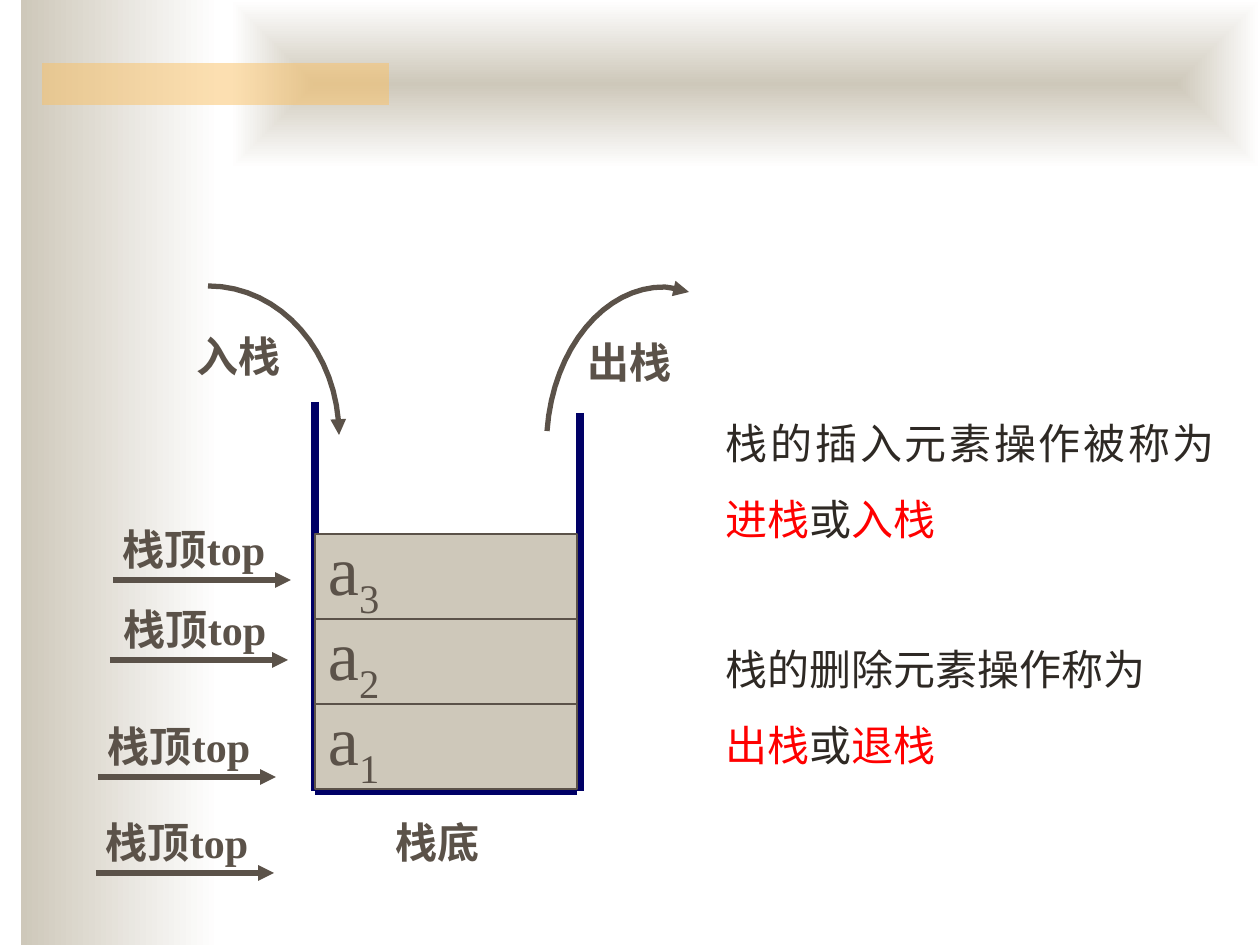
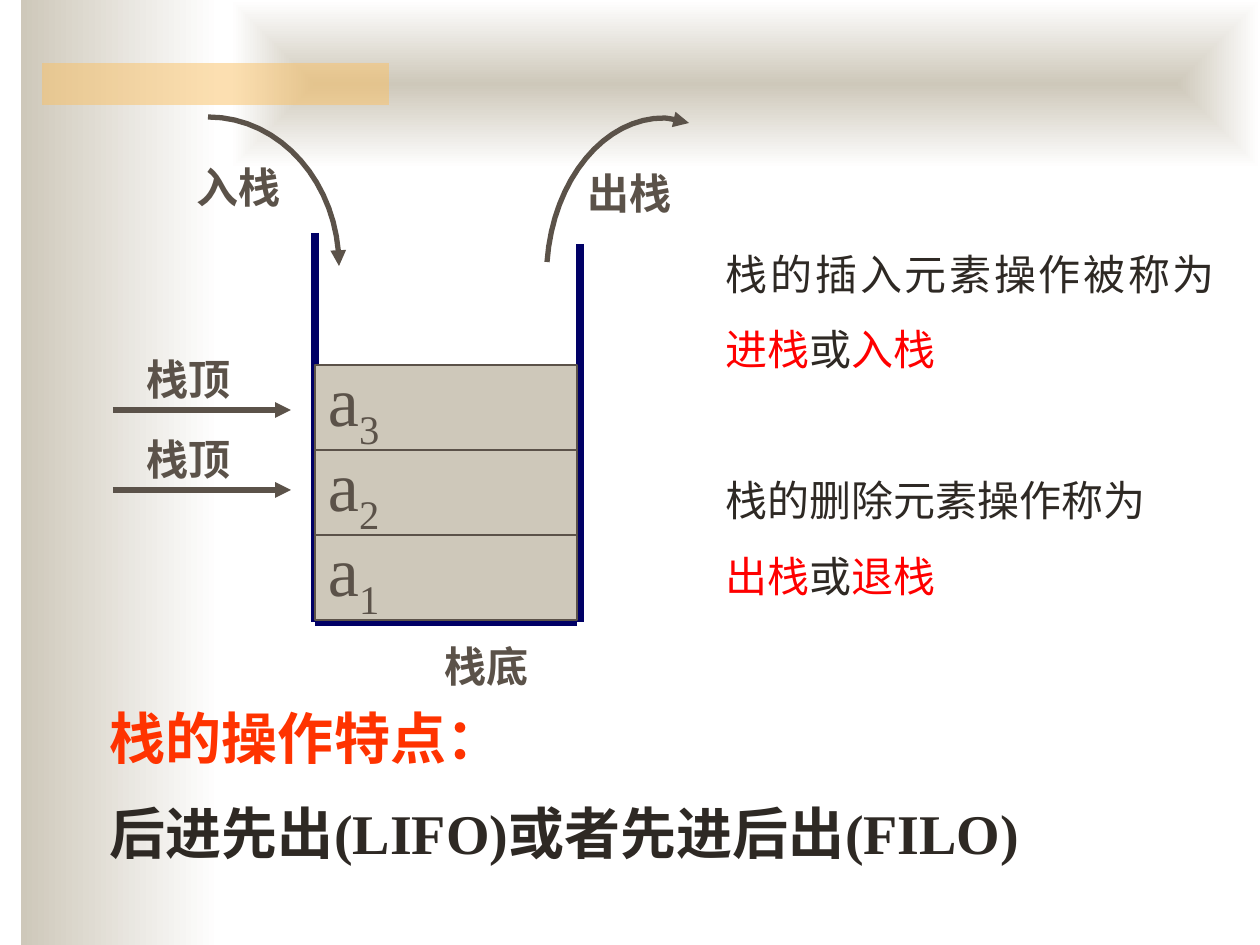
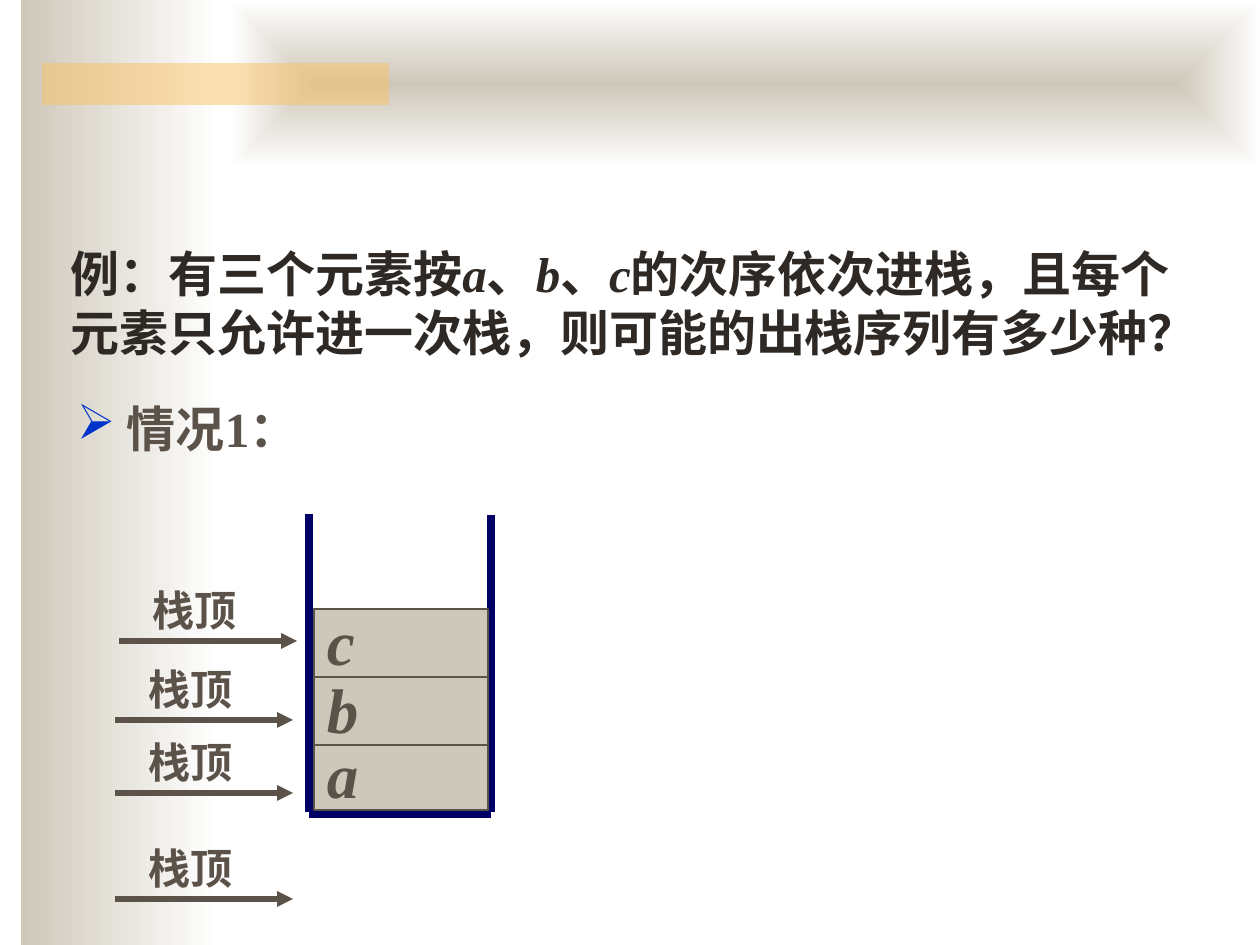
"""Three slides on stack operations: push and pop, last in first out, and an ordering exercise."""
from dataclasses import dataclass
from typing import NamedTuple

from lxml.etree import SubElement
from pptx import Presentation
from pptx.dml.color import RGBColor
from pptx.enum.shapes import MSO_CONNECTOR as Connector, MSO_SHAPE as Preset
from pptx.enum.text import MSO_ANCHOR as Anchor, MSO_AUTO_SIZE as AutoSize, PP_ALIGN as Align
from pptx.oxml.ns import qn
from pptx.shapes.autoshape import Shape
from pptx.slide import Slide
from pptx.util import Emu, Pt

EMU_PER_PIXEL = 914400 / 126


@dataclass(frozen=True)
class Theme:
    stone: str = "CEC8BA"
    white: str = "FFFFFF"
    amber: str = "FAC164"
    navy: str = "000066"
    brown: str = "5B5249"
    ink: str = "2E2924"
    red: str = "FF0000"
    orange: str = "FF3300"
    blue: str = "0033CC"
    latin: str = "Times New Roman"
    chinese: str = "Noto Sans CJK SC"
    label: int = 24
    question: int = 28
    feature: int = 32
    italic_item: int = 36
    indexed_item: int = 40
    wall: float = 4.5
    arrow: float = 3
    outline: float = 0.75


THEME = Theme()


class Box(NamedTuple):
    left: int
    top: int
    width: int
    height: int


class Point(NamedTuple):
    x: int
    y: int


class Span(NamedTuple):
    text: str
    color: str = THEME.brown
    italic: bool = False
    subscript: bool = False


class Style(NamedTuple):
    size: int = THEME.label
    bold: bool = True
    font: str = THEME.latin


@dataclass(frozen=True)
class Pointer:
    x: int
    y: int
    text: str = "栈顶"
    label_shift: int = 21
    label_width: int = 126


@dataclass(frozen=True)
class Stack:
    left: int
    left_top: int
    right: int
    right_top: int
    wall_bottom: int
    floor: int
    floor_right: int
    cell_left: int
    cell_width: int
    cell_height: int
    cell_tops: tuple[int, ...]
    items: tuple[tuple[Span, ...], ...]
    style: Style


def emu(pixels: float) -> Emu:
    return Emu(round(pixels * EMU_PER_PIXEL))


def rgb(color: str) -> RGBColor:
    return RGBColor.from_string(color)


def add_runs(paragraph, spans: tuple[Span, ...], style: Style) -> None:
    for span in spans:
        run = paragraph.add_run()
        run.text = span.text
        font = run.font
        font.size, font.bold, font.italic = Pt(style.size), style.bold, span.italic
        font.name = style.font
        font.color.rgb = rgb(span.color)
        properties = run._r.get_or_add_rPr()
        SubElement(properties, qn("a:ea")).set("typeface", THEME.chinese)
        if span.subscript:
            properties.set("baseline", "-25000")


def space_half_line(paragraph) -> None:
    paragraph.space_before = Pt(0)
    spacing = paragraph._p.pPr.find(qn("a:spcBef"))
    spacing.remove(spacing[0])
    SubElement(spacing, qn("a:spcPct")).set("val", "50000")


def add_text(slide: Slide, box: Box, lines: list[tuple[Span, ...]], style: Style = Style(),
             side_inset: int = 13) -> list:
    frame = slide.shapes.add_textbox(*map(emu, box)).text_frame
    frame.word_wrap, frame.auto_size = True, AutoSize.SHAPE_TO_FIT_TEXT
    frame.margin_left = frame.margin_right = emu(side_inset)
    paragraphs = [frame.paragraphs[0]] + [frame.add_paragraph() for _ in lines[1:]]
    for paragraph, spans in zip(paragraphs, lines):
        space_half_line(paragraph)
        add_runs(paragraph, spans, style)
    return paragraphs


def add_label(slide: Slide, text: str, left: int, top: int, width: int) -> None:
    add_text(slide, Box(left, top, width, 63), [(Span(text),)])


def add_arrowhead(shape) -> None:
    SubElement(shape.line._get_or_add_ln(), qn("a:tailEnd")).set("type", "triangle")


def add_line(slide: Slide, start: Point, end: Point, color: str, weight: float):
    line = slide.shapes.add_connector(Connector.STRAIGHT, *map(emu, (*start, *end)))
    line.line.color.rgb, line.line.width = rgb(color), Pt(weight)
    SubElement(line._element.spPr, qn("a:effectLst"))
    return line


def add_rectangle(slide: Slide, box: Box) -> Shape:
    rectangle = slide.shapes.add_shape(Preset.RECTANGLE, *map(emu, box))
    rectangle.shadow.inherit = False
    rectangle.line.fill.background()
    return rectangle


def add_gradient(slide: Slide, box: Box) -> Shape:
    panel = add_rectangle(slide, box)
    panel.fill.gradient()
    panel.fill.gradient_angle = 0
    for stop, color, position in zip(panel.fill.gradient_stops, (THEME.stone, THEME.white), (0, 1)):
        stop.color.rgb, stop.position = rgb(color), position
    return panel


def add_background(slide: Slide) -> None:
    add_gradient(slide, Box(21, 0, 199, 945))
    header = add_gradient(slide, Box(231, 0, 1029, 168))
    gradient = header._element.spPr.find(qn("a:gradFill"))
    gradient.remove(gradient.find(qn("a:lin")))
    radial = SubElement(gradient, qn("a:path"))
    radial.set("path", "shape")
    center = SubElement(radial, qn("a:fillToRect"))
    for edge in "ltrb":
        center.set(edge, "50000")
    band = add_rectangle(slide, Box(42, 63, 347, 42))
    band.fill.solid()
    band.fill.fore_color.rgb = rgb(THEME.amber)
    tint = next(band._element.spPr.iter(qn("a:srgbClr")))
    SubElement(tint, qn("a:alpha")).set("val", "50000")


def add_cell(slide: Slide, box: Box, item: tuple[Span, ...], style: Style) -> None:
    cell = add_rectangle(slide, box)
    cell.fill.solid()
    cell.fill.fore_color.rgb = rgb(THEME.stone)
    cell.line.color.rgb, cell.line.width = rgb(THEME.brown), Pt(THEME.outline)
    frame = cell.text_frame
    frame.word_wrap, frame.vertical_anchor = False, Anchor.MIDDLE
    frame.margin_left = frame.margin_right = emu(13)
    frame.margin_top, frame.margin_bottom = emu(0), emu(6)
    frame.paragraphs[0].alignment = Align.LEFT
    add_runs(frame.paragraphs[0], item, style)


def add_stack(slide: Slide, stack: Stack) -> None:
    walls = (
        (Point(stack.left, stack.left_top), Point(stack.left, stack.wall_bottom)),
        (Point(stack.left, stack.floor), Point(stack.floor_right, stack.floor)),
        (Point(stack.right, stack.right_top), Point(stack.right, stack.wall_bottom)),
    )
    for start, end in walls:
        add_line(slide, start, end, THEME.navy, THEME.wall)
    for top, item in zip(stack.cell_tops, stack.items):
        add_cell(slide, Box(stack.cell_left, top, stack.cell_width, stack.cell_height), item, stack.style)


def add_pointers(slide: Slide, pointers: list[Pointer]) -> None:
    for pointer in pointers:
        end = Point(pointer.x + 178, pointer.y)
        add_arrowhead(add_line(slide, Point(pointer.x, pointer.y), end, THEME.brown, THEME.arrow))
        add_label(slide, pointer.text, pointer.x + pointer.label_shift, pointer.y - 63, pointer.label_width)


def bezier(controls: tuple[Point, ...], t: float) -> tuple[int, int]:
    weights = ((1 - t) ** 3, 3 * t * (1 - t) ** 2, 3 * t ** 2 * (1 - t), t ** 3)
    x, y = (sum(w * value for w, value in zip(weights, axis)) for axis in zip(*controls))
    return emu(x), emu(y)


def add_curved_arrow(slide: Slide, knots: list[Point], shift: int, steps: int = 16) -> None:
    moved = [Point(knot.x, knot.y + shift) for knot in knots]
    curves = [tuple(moved[i:i + 4]) for i in range(0, len(moved) - 1, 3)]
    trail = [bezier(curve, step / steps) for curve in curves for step in range(1, steps + 1)]
    builder = slide.shapes.build_freeform(*map(emu, moved[0]), scale=1.0)
    builder.add_line_segments(trail, close=False)
    arrow = builder.convert_to_shape()
    arrow.shadow.inherit = False
    arrow.fill.background()
    arrow.line.color.rgb, arrow.line.width = rgb(THEME.brown), Pt(THEME.arrow)
    add_arrowhead(arrow)


def add_definitions(slide: Slide, shift: int) -> None:
    lines = [
        (Span("栈的插入元素操作被称为", THEME.ink), Span("进栈", THEME.red),
         Span("或", THEME.ink), Span("入栈", THEME.red)),
        (Span("栈的删除元素操作称为", THEME.ink),),
        (Span("出栈", THEME.red), Span("或", THEME.ink), Span("退栈", THEME.red)),
    ]
    style = Style(bold=False, font=THEME.chinese)
    paragraphs = add_text(slide, Box(713, 386 + shift, 515, 394), lines, style)
    for paragraph, gap in zip(paragraphs, (0, 43, 0)):
        paragraph.alignment, paragraph.line_spacing = Align.JUSTIFY, 1.5
        paragraph.space_before = Pt(gap)


def add_push_pop(slide: Slide, shift: int = 0) -> None:
    height = 85
    add_stack(slide, Stack(
        left=315, left_top=402 + shift, right=580, right_top=413 + shift,
        wall_bottom=791 + shift, floor=791 + shift, floor_right=577,
        cell_left=315, cell_width=262, cell_height=height,
        cell_tops=tuple(704 + shift - height * level for level in range(3)),
        items=tuple((Span("a"), Span(index, subscript=True)) for index in "123"),
        style=Style(THEME.indexed_item, bold=False)))
    add_curved_arrow(slide, [Point(208, 286), Point(281, 286), Point(339, 353), Point(339, 435)], shift)
    add_label(slide, "入栈", 184, 324 + shift, 123)
    add_curved_arrow(slide, [Point(547, 431), Point(553, 348), Point(605, 286), Point(665, 287),
                             Point(673, 288), Point(681, 290), Point(689, 292)], shift)
    add_label(slide, "出栈", 575, 330 + shift, 116)
    add_definitions(slide, shift)


def build_operations(slide: Slide) -> None:
    add_push_pop(slide)
    add_label(slide, "栈底", 383, 810, 126)
    add_pointers(slide, [Pointer(x, y, "栈顶top", label_shift, 213) for x, y, label_shift in
                         ((113, 580, -3), (110, 660, 1), (98, 777, -3), (96, 873, -3))])


def build_features(slide: Slide) -> None:
    add_push_pop(slide, shift=-169)
    add_label(slide, "栈底", 432, 634, 126)
    add_pointers(slide, [Pointer(113, 410), Pointer(113, 490)])
    add_text(slide, Box(97, 697, 1131, 183),
             [(Span("栈的操作特点：", THEME.orange),),
              (Span("后进先出(LIFO)或者先进后出(FILO)", THEME.ink),)],
             Style(THEME.feature))


def build_exercise(slide: Slide) -> None:
    wording = ("例：有三个元素按", "a", "、", "b", "、", "c",
               "的次序依次进栈，且每个元素只允许进一次栈，则可能的出栈序列有多少种？")
    question = tuple(Span(part, THEME.ink, italic=part in "abc") for part in wording)
    add_text(slide, Box(71, 237, 1142, 130), [question], Style(THEME.question), side_inset=0)
    add_stack(slide, Stack(
        left=309, left_top=514, right=491, right_top=515, wall_bottom=812, floor=814, floor_right=491,
        cell_left=314, cell_width=174, cell_height=68, cell_tops=(742, 677, 609),
        items=tuple((Span(letter, italic=True),) for letter in "abc"),
        style=Style(THEME.italic_item)))
    add_pointers(slide, [Pointer(115, 899), Pointer(115, 793), Pointer(115, 720), Pointer(119, 641)])
    case, = add_text(slide, Box(64, 392, 297, 72), [(Span(" 情况1："),)], Style(THEME.question))
    properties = case._p.get_or_add_pPr()
    SubElement(SubElement(properties, qn("a:buClr")), qn("a:srgbClr")).set("val", THEME.blue)
    SubElement(properties, qn("a:buChar")).set("char", "➢")


def main() -> None:
    deck = Presentation()
    deck.slide_width, deck.slide_height = emu(1260), emu(945)
    for build in (build_operations, build_features, build_exercise):
        slide = deck.slides.add_slide(deck.slide_layouts[6])
        add_background(slide)
        build(slide)
    deck.save("out.pptx")


main()
